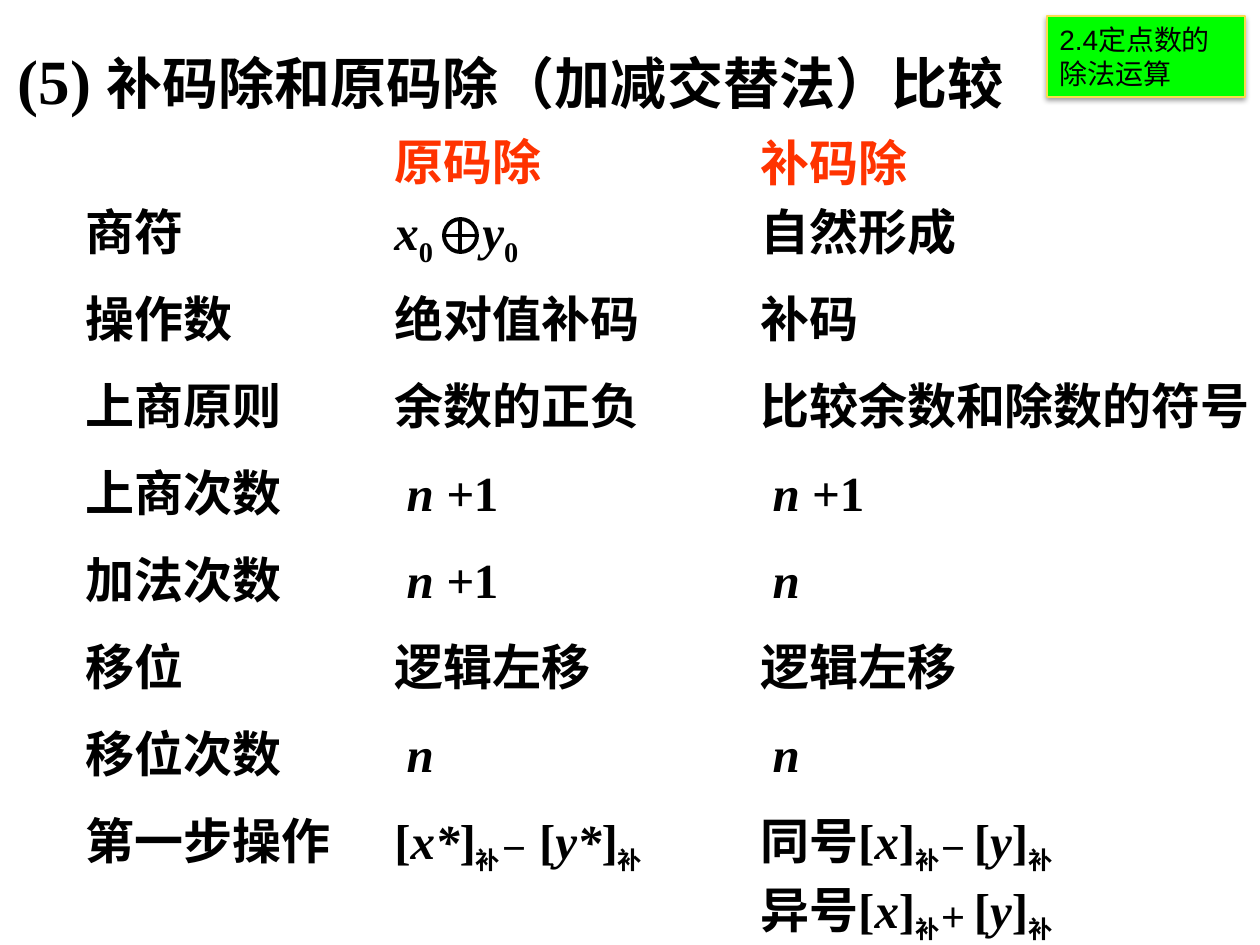
"""Build a slide comparing complement division with sign-magnitude division."""
from lxml import etree
from pptx import Presentation
from pptx import util as u
from pptx.dml.color import RGBColor
from pptx.enum import shapes, text
from pptx.oxml import ns

PX = 914400 / 126
BLACK = RGBColor(0, 0, 0)
RED = RGBColor(0xFF, 0x33, 0x00)
GREEN = RGBColor(0, 0xFF, 0)
GOLD = RGBColor(0xFA, 0xDD, 0x4D)
SERIF = "Times New Roman"
SIZES = {"low": 24, "small": 16, "head": 36, "title": 32}


def px(*nums):
    return [u.Emu(round(n * PX)) for n in nums]


def write(frame, runs, color=BLACK, face=SERIF, bold=True):
    frame.word_wrap = True
    frame.auto_size = text.MSO_AUTO_SIZE.SHAPE_TO_FIT_TEXT
    para = frame.paragraphs[0]
    para.alignment = text.PP_ALIGN.LEFT
    for words, style in runs:
        run = para.add_run()
        run.text = words
        font = run.font
        font.name, font.bold, font.color.rgb = face, bold, color
        font.size = u.Pt(SIZES.get(style, 28))
        font.italic = style == "ital"
        if style in ("sub", "low"):
            font._element.set("baseline", "-25000")


deck = Presentation()
deck.slide_width, deck.slide_height = px(1260, 945)
slide = deck.slides.add_slide(deck.slide_layouts[5])

title = slide.shapes.title
title.left, title.top, title.width, title.height = px(5, 35, 1153, 88)
title.text_frame.vertical_anchor = text.MSO_ANCHOR.TOP
write(title.text_frame, [("(5) ", "head"), ("补码除和原码除（加减交替法）比较", "title")])

LEFT, MID, RIGHT = 73, 382, 748
TOP, STEP = 195, 87
N = [(" n", "ital")]
PLUS = [(" n +", "ital"), ("1", "")]
SIGN = [("x", "ital"), ("0\t", "sub"), ("y", "ital"), ("0", "sub")]
FIRST = [("[", ""), ("x*", "ital"), ("]", ""), ("补", "low"), ("－", "small"),
         (" [", ""), ("y*", "ital"), ("]", ""), ("补", "low")]
SAME, DIFF = [
    [(name + "[", ""), ("x", "ital"), ("]", ""), ("补", "low"), (sign + " ", "small"),
     ("[", ""), ("y", "ital"), ("]", ""), ("补", "low")]
    for name, sign in (("同号", "－"), ("异号", "＋"))]

ROWS = [
    (("商符", 179), (SIGN, 154), ("自然形成", 230)),
    (("操作数", 175), ("绝对值补码", 306), ("补码", 130)),
    (("上商原则", 268), ("余数的正负", 296), ("比较余数和除数的符号", 544)),
    (("上商次数", 258), (PLUS, 257), ([(" n", "ital"), (" +1", "")], 228)),
    (("加法次数", 299), (PLUS, 247), (N, 120)),
    (("移位", 209), ("逻辑左移", 287), ("逻辑左移", 338)),
    (("移位次数", 278), (N, 110), (N, 159)),
    (("第一步操作", 309), (FIRST, 377), (SAME, 456)),
]
cells = [(MID, 125, 336, "原码除", RED), (RIGHT, 126, 315, "补码除", RED)]
for i, row in enumerate(ROWS):
    for x, (body, wide) in zip((LEFT, MID, RIGHT), row):
        cells.append((x, TOP + i * STEP, wide, body, BLACK))
cells.append((RIGHT, 873, 456, DIFF, BLACK))

for x, y, wide, body, color in cells:
    box = slide.shapes.add_textbox(*px(x, y, wide, 72))
    if body is SIGN:
        props = box.text_frame.paragraphs[0]._p.get_or_add_pPr()
        tabs = etree.SubElement(props, ns.qn("a:tabLst"))
        etree.SubElement(tabs, ns.qn("a:tab"), pos=str(px(88)[0]), algn="l")
    write(box.text_frame, [(body, "")] if isinstance(body, str) else body, color)

ring = slide.shapes.add_shape(shapes.MSO_SHAPE.FLOWCHART_OR, *px(444, 219, 33, 33))
ring.shadow.inherit = False
ring.fill.background()
ring.line.color.rgb = BLACK
ring.line.width = u.Pt(2.25)

tag = slide.shapes.add_shape(shapes.MSO_SHAPE.RECTANGLE, *px(1047, 16, 198, 81))
tag.shadow.inherit = False
tag.fill.solid()
tag.fill.fore_color.rgb = GREEN
tag.line.color.rgb = GOLD
tag.line.width = u.Pt(0.75)
effect = tag._element.spPr.find(ns.qn("a:effectLst"))
shade = etree.SubElement(effect, ns.qn("a:outerShdw"), blurRad=str(u.Pt(3.1)),
                         dist=str(u.Pt(1.6)), dir="5400000", rotWithShape="0")
tone = etree.SubElement(shade, ns.qn("a:srgbClr"), val=str(BLACK))
etree.SubElement(tone, ns.qn("a:alpha"), val="38000")
write(tag.text_frame, [("2.4定点数的除法运算", "small")], face="Arial", bold=False)

deck.save("out.pptx")
